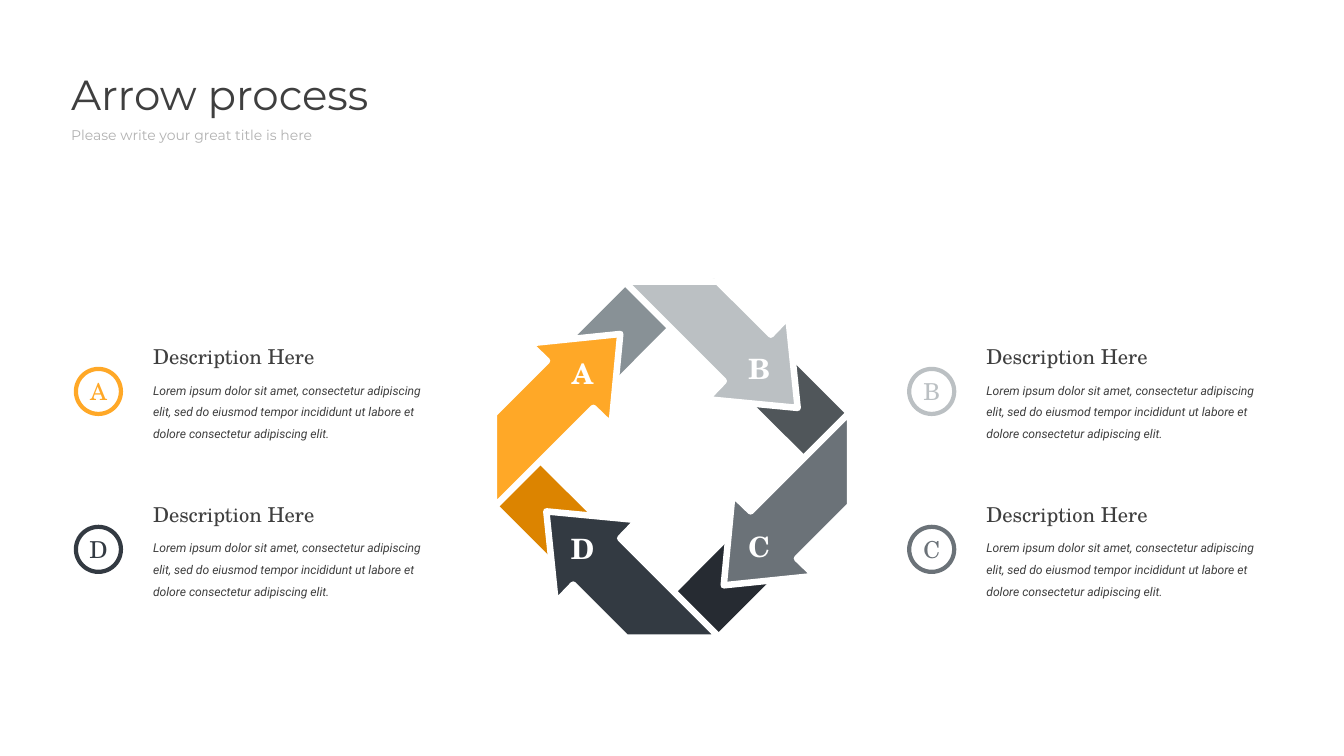
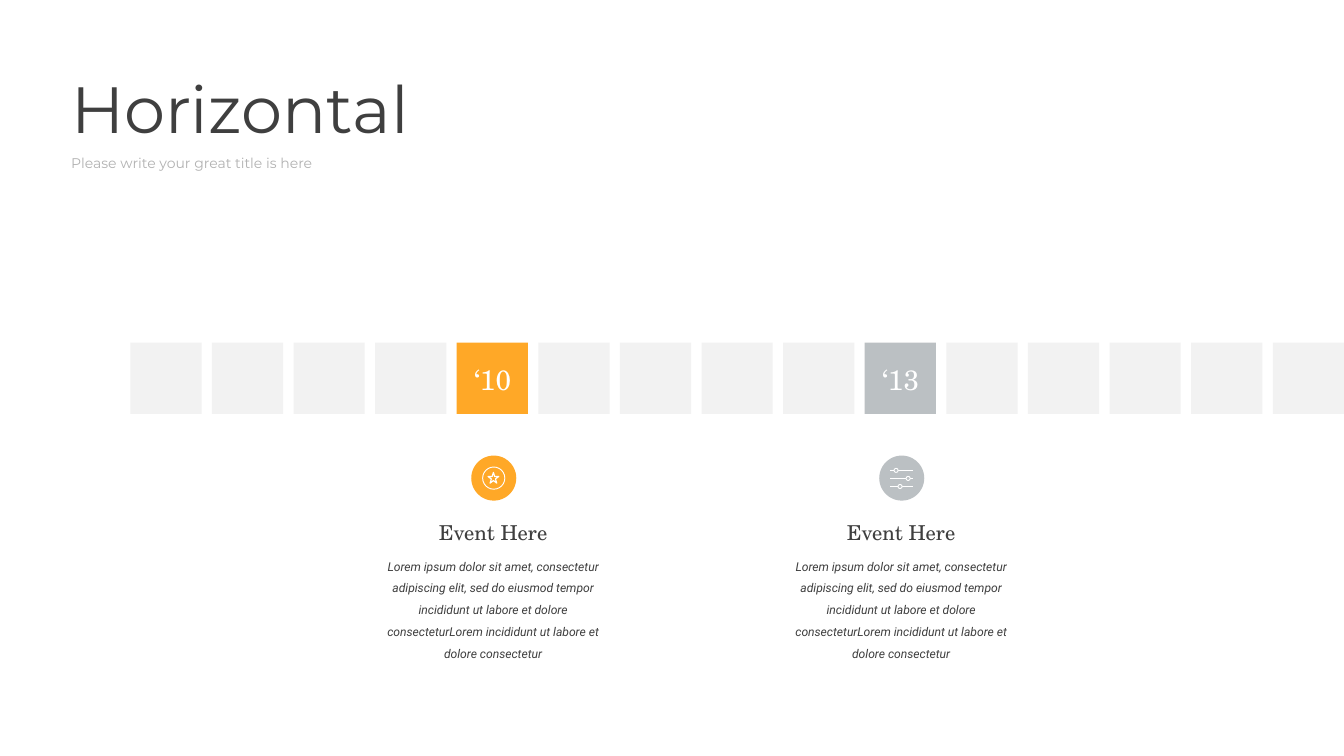
from dataclasses import dataclass

from lxml import etree
from pptx import Presentation
from pptx.dml.color import RGBColor
from pptx.enum import shapes, text
from pptx.oxml import ns
from pptx.util import Inches, Pt


@dataclass(frozen=True)
class Theme:
    ink: str = "3F3F3F"
    muted: str = "B2B2B2"
    white: str = "FFFFFF"
    tile: str = "F2F2F2"
    orange: str = "FFA827"
    silver: str = "BBC0C3"
    gray: str = "6B7278"
    navy: str = "333A42"
    orange_fold: str = "DC8400"
    silver_fold: str = "889196"
    gray_fold: str = "50565A"
    navy_fold: str = "262B32"
    sans: str = "Montserrat"
    serif: str = "TeX Gyre Schola"
    body: str = "Roboto"
    subtitle_size: float = 15
    heading_size: float = 22
    body_size: float = 13
    badge_size: float = 25
    label_size: float = 30


THEME = Theme()
LEFT, CENTER = text.PP_ALIGN.LEFT, text.PP_ALIGN.CENTER
SUBTITLE = "Please write your great title is here"
DESCRIPTION = (
    "Lorem ipsum dolor sit amet, consectetur adipiscing elit, sed do eiusmod "
    "tempor incididunt ut labore et dolore consectetur adipiscing elit."
)
EVENT_TEXT = (
    "Lorem ipsum dolor sit amet, consectetur adipiscing elit, sed do eiusmod "
    "tempor incididunt ut labore et dolore consecteturLorem incididunt ut "
    "labore et dolore consectetur"
)

RING_CENTER = (10, 6.84)
ARROW = [(-0.71, -2.65), (0.68, -2.65), (1.47, -1.86), (1.73, -2.13),
         (1.87, -0.77), (0.51, -0.9), (0.77, -1.17)]
FOLD = [(2.69, 0.64), (0.83, -1.21), (1.44, -1.82), (2.6, -0.66)]
RING = [
    ("B", THEME.silver, THEME.gray_fold, (10.85, 5.18)),
    ("C", THEME.gray, THEME.navy_fold, (10.85, 7.83)),
    ("D", THEME.navy, THEME.orange_fold, (8.22, 7.86)),
    ("A", THEME.orange, THEME.silver_fold, (8.22, 5.25)),
]
CARDS = [
    ("A", THEME.orange, 1.13, 5.07),
    ("D", THEME.navy, 1.13, 7.42),
    ("B", THEME.silver, 13.53, 5.07),
    ("C", THEME.gray, 13.53, 7.42),
]

TILE_COUNT = 15
TILE_SIDE = 1.06
TILES_LEFT, TILES_TOP = 1.94, 5.1
TILE_PITCH = (20 - TILE_SIDE - TILES_LEFT) / (TILE_COUNT - 1)


def rgb(color):
    return RGBColor.from_string(color)


def write(slide, words, left, top, width, height, font, size, color,
          align=LEFT, bold=None, italic=None, spacing=None):
    box = slide.shapes.add_textbox(
        Inches(left), Inches(top), Inches(width), Inches(height))
    frame = box.text_frame
    frame.word_wrap = True
    frame.auto_size = text.MSO_AUTO_SIZE.SHAPE_TO_FIT_TEXT
    paragraph = frame.paragraphs[0]
    paragraph.text = words
    paragraph.alignment = align
    paragraph.line_spacing = spacing
    paragraph.font.name = font
    paragraph.font.size = Pt(size)
    paragraph.font.color.rgb = rgb(color)
    paragraph.font.bold = bold
    paragraph.font.italic = italic


def paint(shape, fill=None, line=None, weight=1):
    shape.shadow.inherit = False
    if fill:
        shape.fill.solid()
        shape.fill.fore_color.rgb = rgb(fill)
    else:
        shape.fill.background()
    if line:
        shape.line.color.rgb = rgb(line)
        shape.line.width = Pt(weight)
    else:
        shape.line.fill.background()


def draw(slide, kind, left, top, side, **style):
    shape = slide.shapes.add_shape(
        kind, Inches(left), Inches(top), Inches(side), Inches(side))
    paint(shape, **style)


def draw_circle(slide, left, top, side, **style):
    draw(slide, shapes.MSO_SHAPE.OVAL, left, top, side, **style)


def draw_line(slide, left, right, y, color):
    rail = slide.shapes.add_connector(
        shapes.MSO_CONNECTOR.STRAIGHT,
        Inches(left), Inches(y), Inches(right), Inches(y))
    rail.line.color.rgb = rgb(color)
    rail.line.width = Pt(1)
    etree.SubElement(rail._element.spPr, ns.qn("a:effectLst"))


def add_title(slide, words, size, width, height, left=0.96, top=0.97):
    write(slide, words, left, top, width, height, THEME.sans, size, THEME.ink)
    write(slide, SUBTITLE, left, top + height, 4.62, 0.35,
          THEME.sans, THEME.subtitle_size, THEME.muted)


def add_heading_and_body(slide, heading, body, left, top, width, height, align):
    heading_width = 3.04
    indent = (width - heading_width) / 2 if align == CENTER else 0
    write(slide, heading, left + indent, top, heading_width, 0.47,
          THEME.serif, THEME.heading_size, THEME.ink, align)
    write(slide, body, left, top + 0.47, width, height,
          THEME.body, THEME.body_size, THEME.ink, align, italic=True, spacing=1.5)


def draw_turned(slide, outline, quarter_turns, center, **style):
    points = outline
    for _ in range(quarter_turns):
        points = [(-y, x) for x, y in points]
    corners = [(Inches(center[0] + x), Inches(center[1] + y)) for x, y in points]
    builder = slide.shapes.build_freeform(*corners[0])
    builder.add_line_segments(corners[1:], close=True)
    paint(builder.convert_to_shape(), **style)


def add_arrow_ring(slide, center):
    for turn, (_, _, fold, _) in enumerate(RING):
        draw_turned(slide, FOLD, turn, center, fill=fold)
    for turn, (_, color, _, _) in enumerate(RING):
        draw_turned(slide, ARROW, turn, center,
                    fill=color, line=THEME.white, weight=7)
    for letter, _, _, (left, top) in RING:
        write(slide, letter, left, top, 0.9, 0.61, THEME.serif,
              THEME.label_size, THEME.white, CENTER, bold=True)


def add_card(slide, letter, color, left, top):
    draw_circle(slide, left, top + 0.42, 0.67, line=color, weight=4.5)
    write(slide, letter, left + 0.09, top + 0.5, 0.49, 0.52,
          THEME.serif, THEME.badge_size, color, CENTER)
    add_heading_and_body(slide, "Description Here", DESCRIPTION,
                         left + 1.05, top, 4.29, 1.09, LEFT)


def add_star_icon(slide, left, top, color):
    draw_circle(slide, left + 0.17, top + 0.17, 0.33, line=THEME.white)
    draw(slide, shapes.MSO_SHAPE.STAR_5_POINT, left + 0.25, top + 0.25, 0.16,
         fill=color, line=THEME.white, weight=1.25)


def add_slider_icon(slide, left, top, color):
    knob = 0.06
    for row, knob_x in enumerate((0.25, 0.43, 0.31)):
        y = top + 0.22 + 0.12 * row
        draw_line(slide, left + 0.16, left + 0.5, y, THEME.white)
        draw_circle(slide, left + knob_x - knob / 2, y - knob / 2, knob,
                    fill=color, line=THEME.white)


EVENTS = {
    4: ("‘10", THEME.orange, add_star_icon),
    9: ("‘13", THEME.silver, add_slider_icon),
}


def tile_left(index):
    return TILES_LEFT + TILE_PITCH * index


def add_tiles(slide, top):
    for index in range(TILE_COUNT):
        year, color, _ = EVENTS.get(index, (None, THEME.tile, None))
        left = tile_left(index)
        draw(slide, shapes.MSO_SHAPE.RECTANGLE, left, top, TILE_SIDE, fill=color)
        if year:
            write(slide, year, left + 0.02, top + 0.25, 1.03, 0.61,
                  THEME.serif, THEME.label_size, THEME.white, CENTER)


def add_event(slide, color, add_icon, left, top):
    badge_left = left + 1.43
    draw_circle(slide, badge_left, top, 0.67, fill=color)
    add_icon(slide, badge_left, top, color)
    add_heading_and_body(slide, "Event Here", EVENT_TEXT,
                         left, top + 0.91, 3.51, 2.07, CENTER)


def build_arrow_process(slide):
    add_arrow_ring(slide, RING_CENTER)
    for card in CARDS:
        add_card(slide, *card)
    add_title(slide, "Arrow process", 45, 5.82, 0.86)


def build_timeline(slide):
    add_tiles(slide, TILES_TOP)
    for index, (_, color, add_icon) in EVENTS.items():
        add_event(slide, color, add_icon, tile_left(index - 1), TILES_TOP + 1.68)
    add_title(slide, "Horizontal", 70, 6.56, 1.28)


def main():
    deck = Presentation()
    deck.slide_width, deck.slide_height = Inches(20), Inches(11.25)
    for build in (build_arrow_process, build_timeline):
        build(deck.slides.add_slide(deck.slide_layouts[6]))
    deck.save("out.pptx")


if __name__ == "__main__":
    main()
